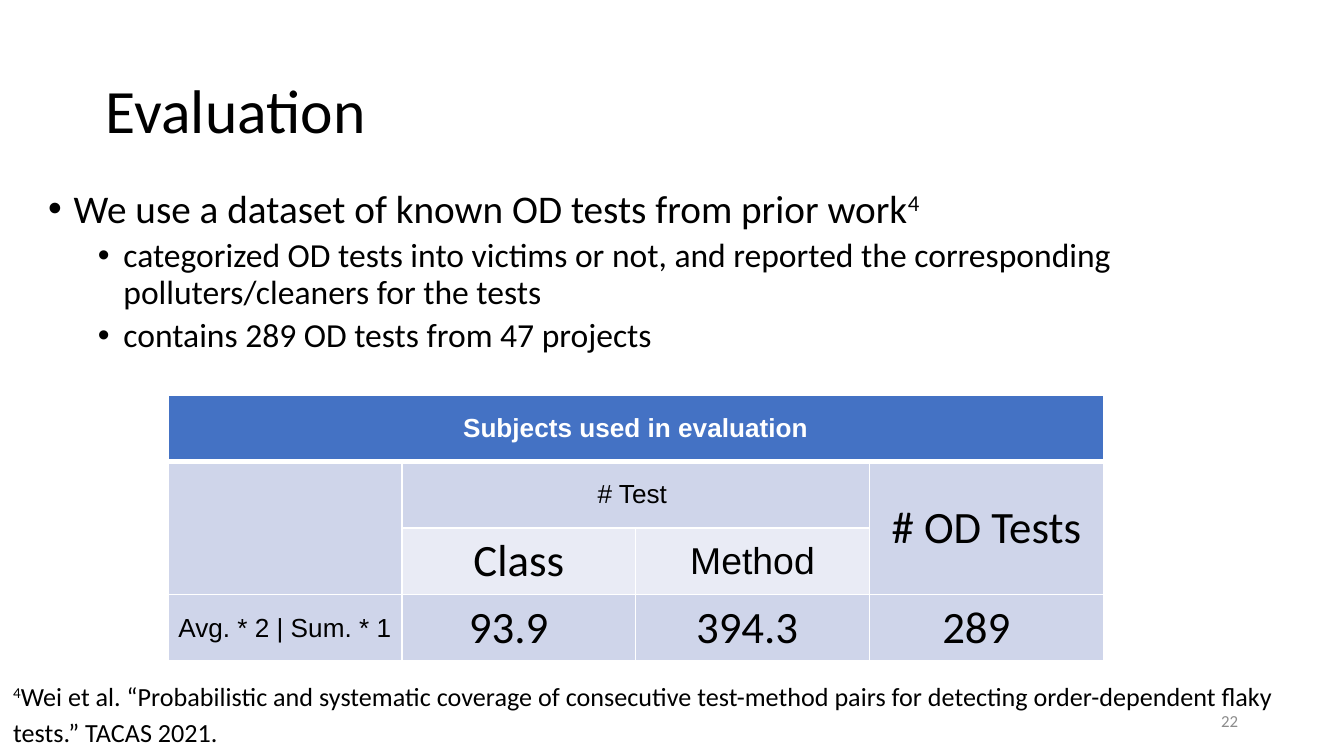
from lxml import etree
from pptx import Presentation
from pptx.dml.color import RGBColor
from pptx.enum.text import MSO_ANCHOR, PP_ALIGN
from pptx.oxml.ns import qn
from pptx.util import Inches, Pt

MIDDLE, TOP = MSO_ANCHOR.MIDDLE, MSO_ANCHOR.TOP
LEFT, CENTER, RIGHT = PP_ALIGN.LEFT, PP_ALIGN.CENTER, PP_ALIGN.RIGHT
COLORS = {"black": "000000", "white": "FFFFFF", "gray": "8C8C8C",
          "head": "4472C4", "band": "CFD5EA", "pale": "E9EBF5"}
SANS, BODY = "Arial", "Calibri"
WIDE = 10
HIGH = WIDE * 9 / 16

TITLE = "Evaluation"
NUMBER = "22"
# level, text, superscript
POINTS = [
    (0, "We use a dataset of known OD tests from prior work", "4"),
    (1, "categorized OD tests into victims or not, and reported the "
        "corresponding polluters/cleaners for the tests", ""),
    (1, "contains 289 OD tests from 47 projects", ""),
]
# size, space before, left indent
LEVELS = [(21, 7.5, 0.19), (18, 3.8, 0.56)]
HANG = 0.19
NOTE = ("4", "Wei et al. “Probabilistic and systematic coverage of consecutive "
             "test-method pairs for detecting order-dependent flaky tests.” "
             "TACAS 2021.")

FILLS = ["head", "band", "pale", "band"]
MERGES = [((0, 0), (0, 3)), ((1, 0), (2, 0)), ((1, 1), (1, 2)), ((1, 3), (2, 3))]
# row, column, text, size, font, extra right margin
CELLS = [
    (0, 0, "Subjects used in evaluation", 14, SANS, 0),
    (1, 1, "# Test", 14, SANS, 0.05),
    (1, 3, "# OD Tests", 24, BODY, 0),
    (2, 1, "Class", 24, BODY, 0),
    (2, 2, "Method", 20, SANS, 0),
    (3, 0, "Avg. * 2 | Sum. * 1", 14, SANS, 0),
    (3, 1, "93.9", 24, BODY, 0.15),
    (3, 2, "394.3", 24, BODY, 0.08),
    (3, 3, "289", 24, BODY, 0.15),
]
COL, ROW = 1.74, 0.495


def rgb(name):
    return RGBColor.from_string(COLORS[name])


def add_run(para, text, size, color="black", font=BODY, bold=False, raised=False):
    run = para.add_run()
    run.text = text
    run.font.size, run.font.name, run.font.bold = Pt(size), font, bold
    run.font.color.rgb = rgb(color)
    if raised:
        run._r.get_or_add_rPr().set("baseline", "30000")


def add_box(slide, left, top, width, height, anchor=TOP, align=LEFT):
    box = slide.shapes.add_textbox(*map(Inches, (left, top, width, height)))
    frame = box.text_frame
    frame.word_wrap = True
    frame.vertical_anchor = anchor
    frame.paragraphs[0].alignment = align
    return frame


def add_bullet(para, left):
    props = para._p.get_or_add_pPr()
    props.set("marL", str(Inches(left)))
    props.set("indent", str(-Inches(HANG)))
    etree.SubElement(props, qn("a:buFont")).set("typeface", SANS)
    etree.SubElement(props, qn("a:buChar")).set("char", "•")


def add_points(slide):
    frame = add_box(slide, 0.26, 1.36, 9.48, 3.57)
    for i, (level, text, mark) in enumerate(POINTS):
        size, before, left = LEVELS[level]
        para = frame.add_paragraph() if i else frame.paragraphs[0]
        para.level = level
        para.line_spacing, para.space_before = 0.9, Pt(before)
        add_bullet(para, left)
        add_run(para, text, size)
        if mark:
            add_run(para, mark, size, raised=True)


def add_edges(cell, row):
    """Draw white cell borders, thick between the heading and the rest."""
    props = cell._tc.get_or_add_tcPr()
    thick = {(0, "B"), (1, "T")}
    for i, side in enumerate("LRTB"):
        line = etree.Element(qn("a:ln" + side))
        line.set("w", str(Pt(3 if (row, side) in thick else 1)))
        fill = etree.SubElement(line, qn("a:solidFill"))
        etree.SubElement(fill, qn("a:srgbClr")).set("val", COLORS["white"])
        props.insert(i, line)


def add_grid(slide):
    count = len(FILLS)
    table = slide.shapes.add_table(
        count, 4, Inches(1.25), Inches(2.94),
        Inches(4 * COL), Inches(count * ROW)).table
    for r, fill in enumerate(FILLS):
        for c in range(4):
            cell = table.cell(r, c)
            cell.fill.solid()
            cell.fill.fore_color.rgb = rgb(fill)
            add_edges(cell, r)
    for start, end in MERGES:
        table.cell(*start).merge(table.cell(*end))
    for r, c, text, size, font, extra in CELLS:
        cell = table.cell(r, c)
        cell.vertical_anchor = MIDDLE
        cell.margin_left, cell.margin_right = Inches(0.07), Inches(0.07 + extra)
        cell.margin_top = cell.margin_bottom = Inches(0.04)
        para = cell.text_frame.paragraphs[0]
        para.alignment = CENTER
        add_run(para, text, size, "black" if r else "white", font, r == 0)


def add_note(slide):
    frame = add_box(slide, 0, 4.93, WIDE, 0.74)
    frame.margin_top = frame.margin_bottom = Inches(0.1)
    para = frame.paragraphs[0]
    para.line_spacing = 1.15
    mark, text = NOTE
    add_run(para, mark, 14, raised=True)
    add_run(para, text, 14)


def main():
    deck = Presentation()
    deck.slide_width, deck.slide_height = Inches(WIDE), Inches(HIGH)
    slide = deck.slides.add_slide(deck.slide_layouts[6])
    title = add_box(slide, 0.69, 0.3, 8.62, 1.09, MIDDLE).paragraphs[0]
    title.line_spacing = 0.9
    add_run(title, TITLE, 33)
    add_points(slide)
    add_grid(slide)
    add_note(slide)
    number = add_box(slide, 7.06, 5.21, 2.25, 0.3, MIDDLE, RIGHT)
    add_run(number.paragraphs[0], NUMBER, 9, "gray")
    deck.save("out.pptx")


if __name__ == "__main__":
    main()
